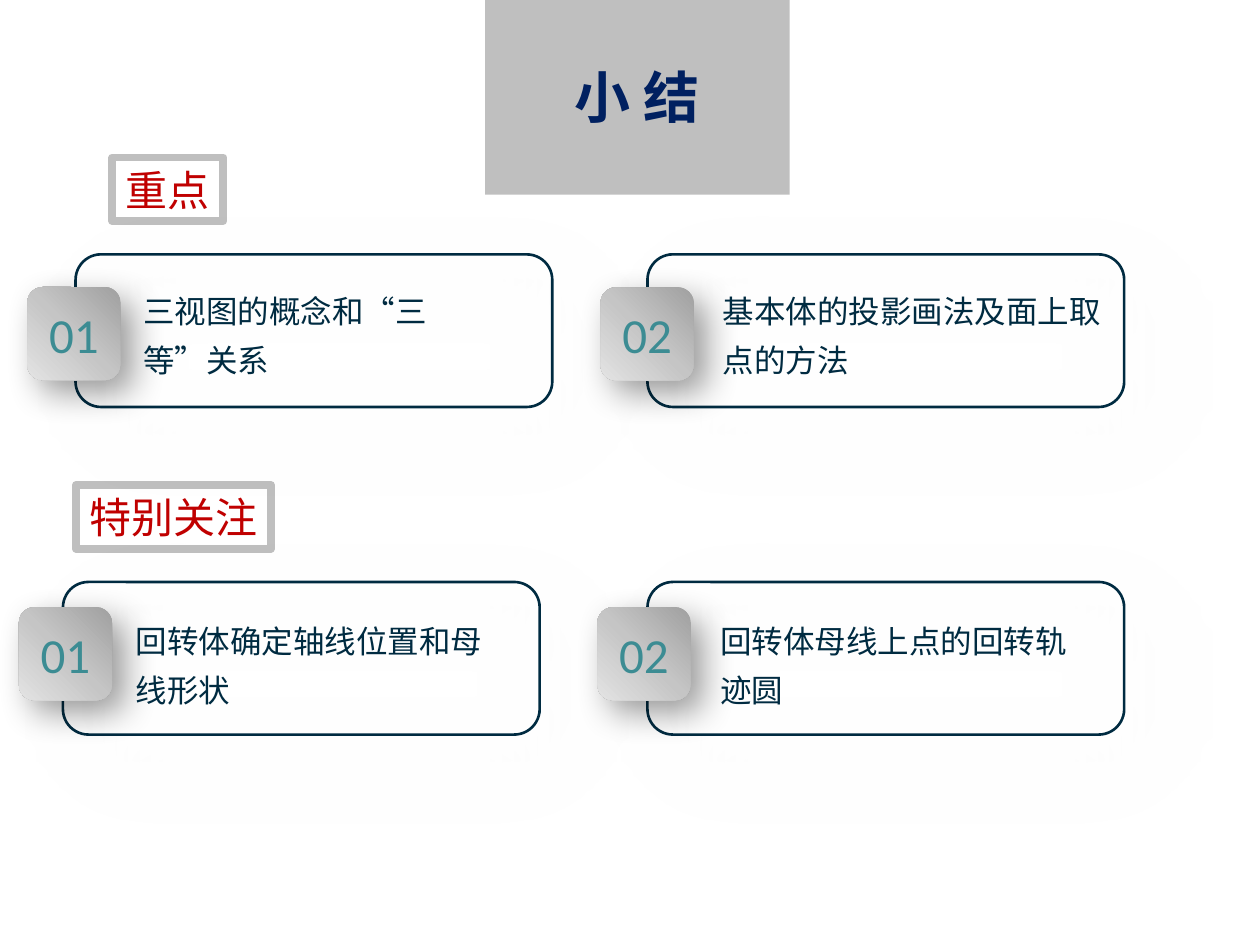
from lxml import etree
from pptx import Presentation
from pptx.dml.color import RGBColor
from pptx.enum.lang import MSO_LANGUAGE_ID
from pptx.enum.shapes import MSO_SHAPE
from pptx.enum.text import MSO_ANCHOR, MSO_AUTO_SIZE, PP_ALIGN
from pptx.oxml import parse_xml
from pptx.oxml.ns import nsdecls, qn
from pptx.util import Pt

RECT, ROUND = MSO_SHAPE.RECTANGLE, MSO_SHAPE.ROUNDED_RECTANGLE
LEFT, MID = PP_ALIGN.LEFT, PP_ALIGN.CENTER
GROW = MSO_AUTO_SIZE.SHAPE_TO_FIT_TEXT
HAN, LATIN = "Noto Sans CJK SC", "Calibri"
HEX = {"grey": "BFBFBF", "navy": "002060", "red": "C00000", "ink": "002B41",
       "teal": "3C8C93", "black": "000000", "haze": "808080"}
COLOR = {name: RGBColor.from_string(value) for name, value in HEX.items()}
STOPS = [(0, "A0A0A0"), (50, "C5C5C5"), (100, "E3E3E3")]


def write(shape, text, size, color, font=HAN, align=MID, bold=False):
    para = shape.text_frame.paragraphs[0]
    para.alignment = align
    run = para.add_run()
    run.text = text
    run.font.size, run.font.bold, run.font.name = Pt(size), bold, font
    run.font.color.rgb = COLOR[color]
    if font == HAN:
        run.font.language_id = MSO_LANGUAGE_ID.SIMPLIFIED_CHINESE
    etree.SubElement(run.font._element, qn("a:ea")).set("typeface", font)
    return para


def shade(shape, color, alpha, blur, dist):
    shape.shadow.inherit = False
    effects = shape._element.spPr.find(qn("a:effectLst"))
    effects.append(parse_xml(
        f'<a:outerShdw {nsdecls("a")} blurRad="{Pt(blur)}" dist="{Pt(dist)}" '
        f'dir="2700000" algn="tl" rotWithShape="0"><a:srgbClr val="{HEX[color]}">'
        f'<a:alpha val="{alpha * 1000}"/></a:srgbClr></a:outerShdw>'))


prs = Presentation()
prs.slide_width, prs.slide_height = Pt(720), Pt(540)
slide = prs.slides.add_slide(prs.slide_layouts[5])
shapes = slide.shapes

# Title
title = shapes.title
title.left, title.top, title.width, title.height = Pt(277.2), Pt(31.8), Pt(174), Pt(46)
title.fill.solid()
title.fill.fore_color.rgb = COLOR["grey"]
title.text_frame.auto_size = GROW
title.text_frame.vertical_anchor = MSO_ANCHOR.MIDDLE
write(title, "小 结", 32, "navy", bold=True)

# Section labels
for text, x, y, w in [("重点", 64.2, 90, 63.4), ("特别关注", 43.4, 277.2, 111.4)]:
    label = shapes.add_shape(RECT, Pt(x), Pt(y), Pt(w), Pt(36.4))
    label.shadow.inherit = False
    label.fill.background()
    label.line.color.rgb, label.line.width = COLOR["grey"], Pt(4.5)
    label.text_frame.word_wrap = False
    label.text_frame.auto_size = GROW
    write(label, text, 24, "red")

# Cards: number, card x and y, tile x and y, text x, y and width, text
CARDS = [
    ("01", 43.2, 145.4, 15.6, 164, 74.8, 157, 229, "三视图的概念和“三等”关系"),
    ("02", 370, 145.4, 343.2, 164.2, 406, 157, 237.6, "基本体的投影画法及面上取点的方法"),
    ("01", 36, 332.6, 10.8, 347, 70.4, 345.6, 220.3, "回转体确定轴线位置和母线形状"),
    ("02", 370, 332.6, 341.4, 347, 404.6, 345.6, 220.3, "回转体母线上点的回转轨迹圆"),
]
for num, x, y, tx, ty, bx, by, bw, text in CARDS:
    # Outline
    card = shapes.add_shape(ROUND, Pt(x), Pt(y), Pt(272.4), Pt(87.2))
    card.fill.background()
    card.line.color.rgb, card.line.width = COLOR["ink"], Pt(1.5)
    shade(card, "haze", 20, 50, 20)

    # Number tile
    tile = shapes.add_shape(ROUND, Pt(tx), Pt(ty), Pt(53.2), Pt(53.2))
    tile.line.fill.background()
    stops = "".join(f'<a:gs pos="{pos * 1000}"><a:srgbClr val="{tone}"/></a:gs>'
                    for pos, tone in STOPS)
    tile._element.spPr.find(qn("a:prstGeom")).addnext(parse_xml(
        f'<a:gradFill {nsdecls("a")} rotWithShape="1"><a:gsLst>{stops}</a:gsLst>'
        '<a:lin ang="8100000" scaled="0"/></a:gradFill>'))
    shade(tile, "black", 40, 20, 10)
    tile.text_frame.vertical_anchor = MSO_ANCHOR.MIDDLE
    write(tile, num, 28, "teal", LATIN)

    # Text
    box = shapes.add_textbox(Pt(bx), Pt(by), Pt(bw), Pt(64))
    box.text_frame.word_wrap = True
    box.text_frame.auto_size = GROW
    write(box, text, 18, "ink", align=LEFT).line_spacing = 1.3

prs.save("out.pptx")
